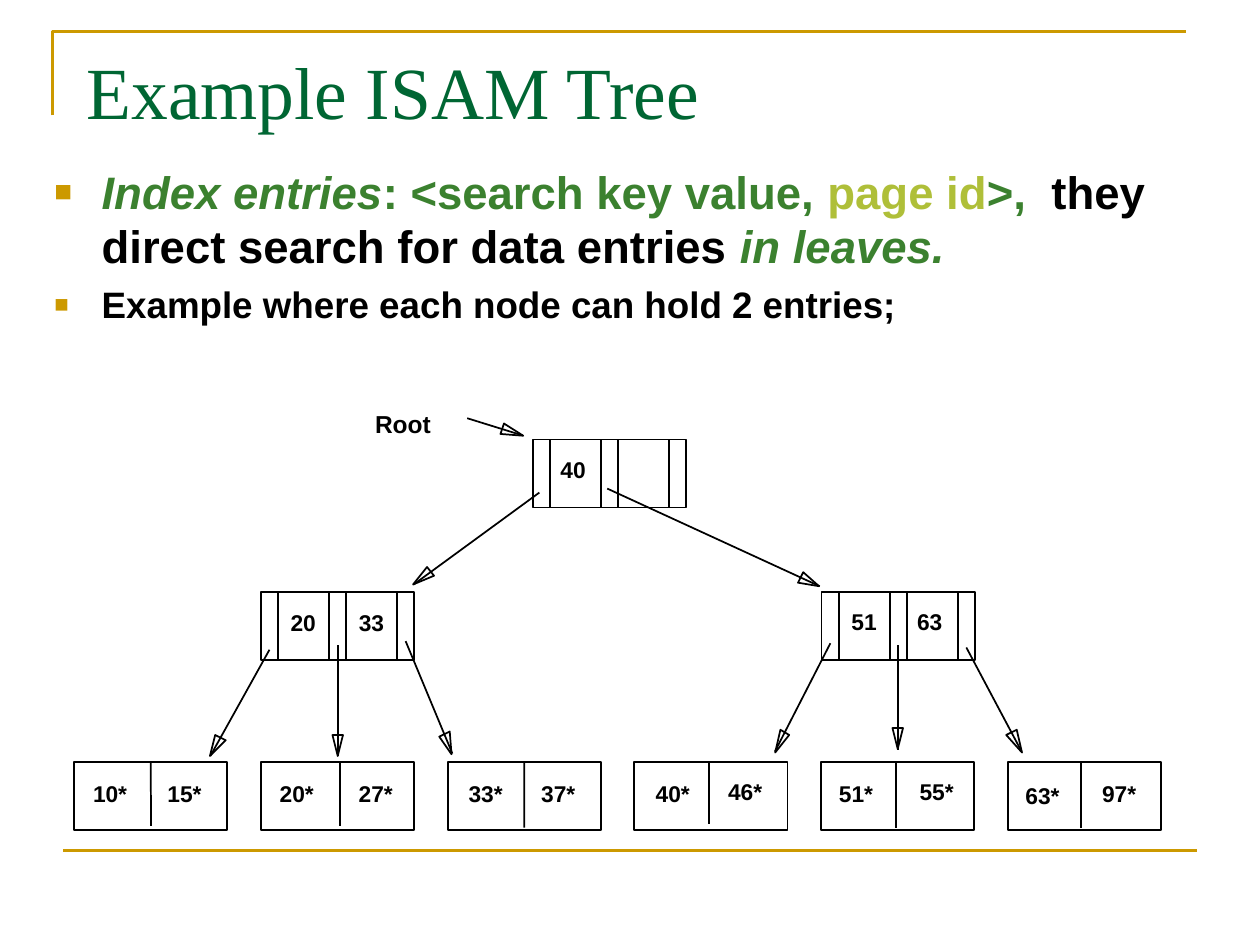
import math
from lxml import etree
from pptx import Presentation
from pptx import util as u
from pptx.dml import color
from pptx.enum import shapes, text
from pptx.oxml import ns


def rgb(value):
    return color.RGBColor.from_string(value)


def write(paragraph, content, size=13, fill="000000", font="Arial", bold=True, italic=False):
    run = paragraph.add_run()
    run.text = content
    run.font.size = u.Pt(size)
    run.font.name = font
    run.font.bold = bold
    run.font.italic = italic
    run.font.color.rgb = rgb(fill)


deck = Presentation()
deck.slide_width, deck.slide_height = u.Pt(720), u.Pt(540)
slide = deck.slides.add_slide(deck.slide_layouts[6])
items = slide.shapes

builder = items.build_freeform(30.2, 66.2, scale=u.Pt(1))
builder.add_line_segments([(30.2, 18), (678.2, 18)], close=False)
corner = builder.convert_to_shape()
corner.fill.background()
corner.line.color.rgb = rgb("CC9900")
corner.line.width = u.Pt(1.5)
corner.shadow.inherit = False

title = items.add_textbox(u.Pt(42.5), u.Pt(20.2), u.Pt(612), u.Pt(62.6)).text_frame
title.word_wrap = True
title.vertical_anchor = text.MSO_ANCHOR.MIDDLE
write(title.paragraphs[0], "Example ISAM Tree", size=42, fill="006633",
      font="Times New Roman", bold=False)

body = items.add_textbox(u.Pt(24), u.Pt(90), u.Pt(678), u.Pt(117)).text_frame
body.word_wrap = True
bullets = [
    (26, [("Index entries", "3B812F", True), (": <search key value, ", "3B812F", False),
          ("page id", "AFBF39", False), (">,", "3B812F", False),
          ("  they direct search for data entries ", "000000", False),
          ("in leaves.", "3B812F", True)]),
    (21, [("Example where each node can hold 2 entries;", "000000", False)]),
]
for index, (size, runs) in enumerate(bullets):
    entry = body.add_paragraph() if index else body.paragraphs[0]
    props = entry._p.get_or_add_pPr()
    props.set("marL", str(u.Pt(27)))
    props.set("indent", str(u.Pt(-27)))
    if index:
        entry.space_before = u.Pt(5.2)
    tint = etree.SubElement(props, ns.qn("a:buClr"))
    etree.SubElement(tint, ns.qn("a:srgbClr"), val="CC9900")
    etree.SubElement(props, ns.qn("a:buSzPct"), val="65000")
    etree.SubElement(props, ns.qn("a:buFont"), typeface="Arial")
    etree.SubElement(props, ns.qn("a:buChar"), char="■")
    for content, fill, italic in runs:
        write(entry, content, size=size, fill=fill, italic=italic)

node_width, node_height, leaf_top = 87.5, 38.8, 435.5
index_nodes = [(304.5, 251.2), (149, 338.4), (469.5, 338.4)]
leaf_nodes = [(42.4 + 106.7 * number, leaf_top) for number in range(6)]
nodes = []
for left, top in index_nodes + leaf_nodes:
    node = items.add_shape(shapes.MSO_SHAPE.RECTANGLE, u.Pt(left), u.Pt(top),
                           u.Pt(node_width), u.Pt(node_height))
    node.fill.background()
    node.line.color.rgb = rgb("000000")
    node.line.width = u.Pt(1)
    node.shadow.inherit = False
    nodes.append(node)

arrows = [
    (267, 239, 298.6, 248.8),
    (308.2, 281.5, 236.4, 334),
    (347, 279.2, 468.4, 335),
    (154, 371.3, 120.2, 432),
    (193, 368.6, 193, 432),
    (231.8, 366.4, 258.5, 430.6),
    (474.5, 367.6, 442.8, 429.5),
    (513.2, 368.6, 513.2, 428.4),
    (552.2, 370, 583.8, 429.5),
]
black_lines = [(left + offset, top, left + offset, top + node_height)
               for left, top in index_nodes for offset in (9.8, 38.9, 48.7, 77.8)]
leaf_splits = [(86.3, 472), (194.4, 472), (299.6, 473), (405.3, 470.7), (512, 473), (617.8, 473)]
black_lines += [(x, leaf_top, x, bottom) for x, bottom in leaf_splits]
footer_line = (36, 486, 684, 486)

for segment in black_lines + arrows + [footer_line]:
    x1, y1, x2, y2 = segment
    line = items.add_connector(shapes.MSO_CONNECTOR.STRAIGHT,
                               u.Pt(x1), u.Pt(y1), u.Pt(x2), u.Pt(y2))
    line.line.color.rgb = rgb("CC9900" if segment == footer_line else "000000")
    line.line.width = u.Pt(1.5 if segment == footer_line else 1)
    etree.SubElement(line._element.spPr, ns.qn("a:effectLst"))
    for node, (left, top) in zip(nodes, index_nodes + leaf_nodes):
        if y1 == top and abs(x1 - left - node_width / 2) < 0.3:
            line.begin_connect(node, 0)

head_length, head_half = 12.2, 3.1
for x1, y1, x2, y2 in arrows:
    reach = math.hypot(x2 - x1, y2 - y1)
    dx, dy = (x2 - x1) / reach, (y2 - y1) / reach
    base_x, base_y = x2 - head_length * dx, y2 - head_length * dy
    builder = items.build_freeform(x2, y2, scale=u.Pt(1))
    builder.add_line_segments([(base_x - head_half * dy, base_y + head_half * dx),
                               (base_x + head_half * dy, base_y - head_half * dx)])
    head = builder.convert_to_shape()
    head.fill.background()
    head.line.color.rgb = rgb("000000")
    head.line.width = u.Pt(1)
    head.shadow.inherit = False

labels = [
    ("10*", 46.1, 442), ("15*", 88.6, 442), ("20*", 152.8, 442), ("27*", 197.9, 442),
    ("33*", 260.7, 442), ("37*", 302.2, 442), ("40*", 367.6, 442), ("46*", 409, 440.8),
    ("51*", 472.3, 442), ("55*", 518.4, 440.8), ("63*", 578.9, 443.4), ("97*", 622.7, 442),
    ("20", 159, 344.2), ("33", 198, 344.2), ("51", 479.5, 344), ("63", 517, 344),
    ("40", 313.2, 257), ("Root", 207.2, 230.4),
]
for content, left, top in labels:
    width = {2: 28.8, 3: 33.8, 4: 46.8}[len(content)]
    label = items.add_textbox(u.Pt(left), u.Pt(top), u.Pt(width), u.Pt(23)).text_frame
    label.word_wrap = False
    label.auto_size = text.MSO_AUTO_SIZE.SHAPE_TO_FIT_TEXT
    write(label.paragraphs[0], content, size=14 if content == "Root" else 13)

deck.save("out.pptx")
